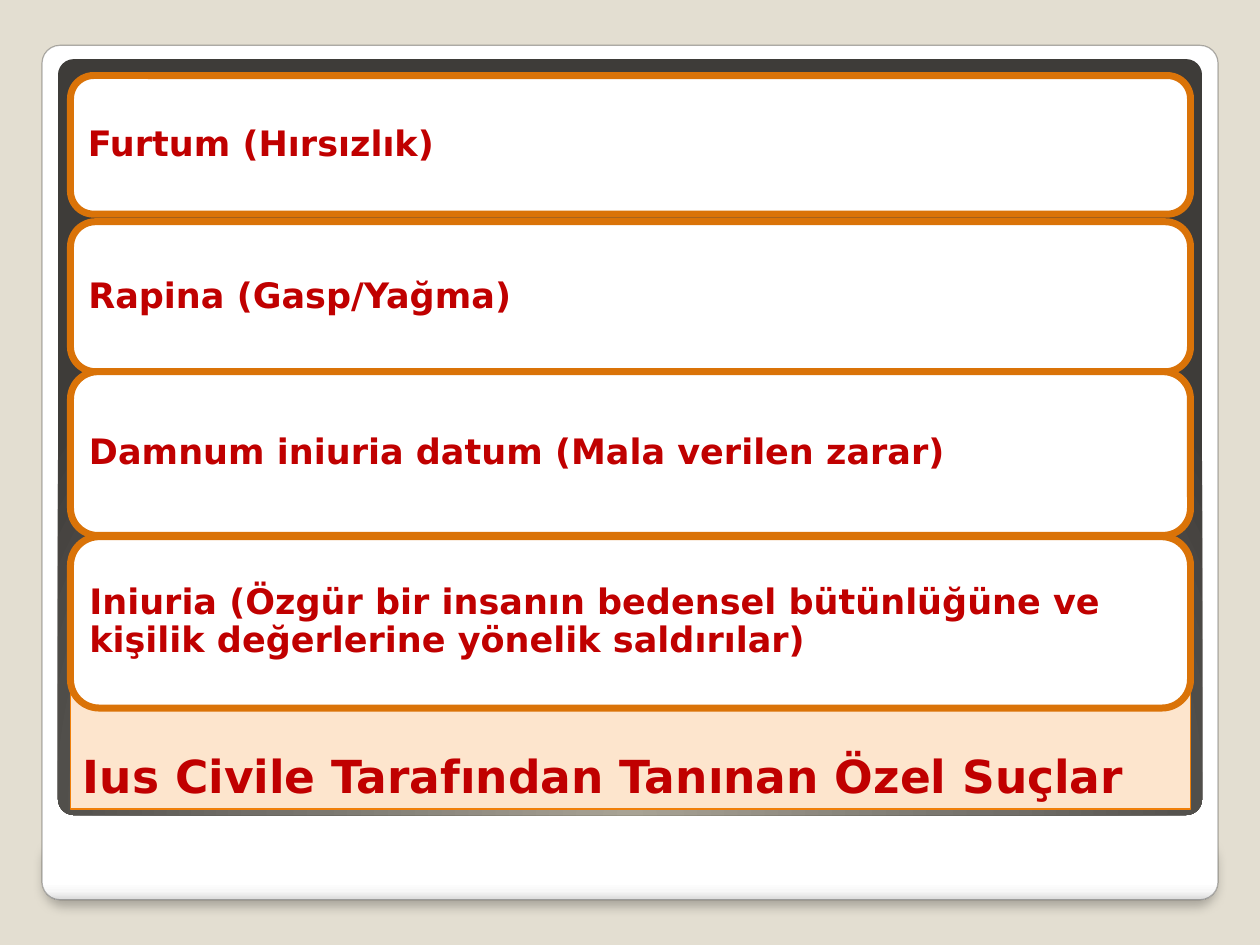
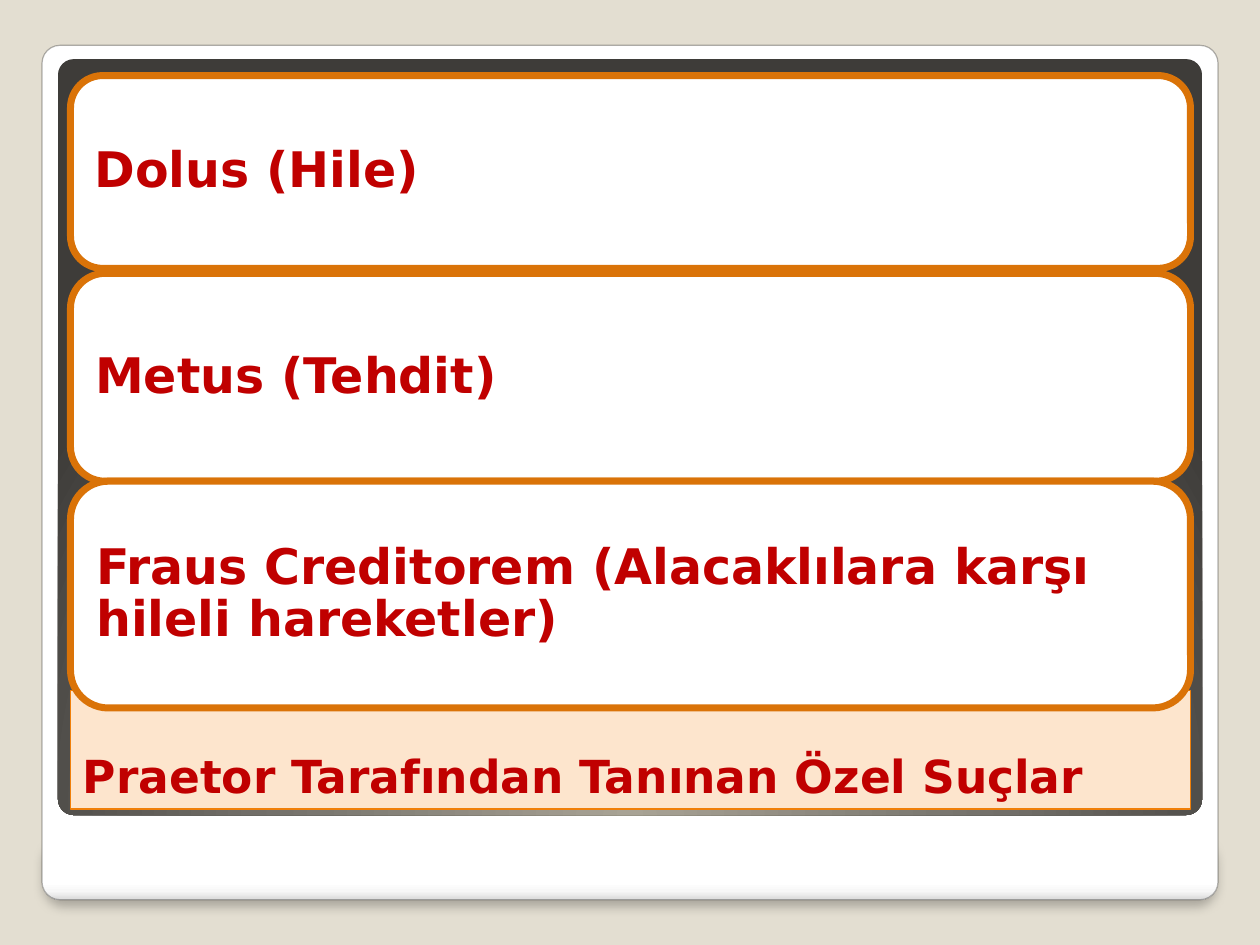
"""Build two slides listing the private delicts of Roman law."""
from pptx import Presentation
from pptx.dml.color import RGBColor
from pptx.enum.shapes import MSO_SHAPE
from pptx.enum.text import MSO_ANCHOR, PP_ALIGN
from pptx.oxml import parse_xml
from pptx.oxml.ns import nsdecls, qn
from pptx.util import Pt

FONT = "DejaVu Sans"
RED = "C00000"
LEFT, WIDTH = 40.3, 640

WHITE_STOPS = [(0, "FFFFFF"), (98, "FFFFFF"), (99, "F7F7F7"), (100, "DADADA")]
DARK_STOPS = [(0, "A8A395"), (55, "716E68"), (100, "3E3C39")]
DOWNWARD = '<a:lin ang="5400000" scaled="0"/>'
FROM_BELOW = ('<a:path path="circle"><a:fillToRect l="100000" t="350000" '
              'r="100000" b="100000"/></a:path>')

PANELS = [
    ((25.2, 477.4, 669.6, 36), 0.333, WHITE_STOPS, DOWNWARD, True, True),
    ((24, 25.9, 672, 488.2), 0.021, WHITE_STOPS, DOWNWARD, True, False),
    ((33.1, 33.8, 653.8, 432), 0.021, DARK_STOPS, FROM_BELOW, False, False),
]

SLIDES = [
    ("Ius Civile Tarafından Tanınan Özel Suçlar", 20, [
        ("Furtum (Hırsızlık)", 43.2, 79.2),
        ("Rapina (Gasp/Yağma)", 126.7, 85.7),
        ("Damnum iniuria datum (Mala verilen zarar)", 212.4, 93.6),
        ("Iniuria (Özgür bir insanın bedensel bütünlüğüne ve "
         "kişilik değerlerine yönelik saldırılar)", 306.7, 97.9),
    ]),
    ("Praetor Tarafından Tanınan Özel Suçlar", 28, [
        ("Dolus (Hile)", 43.2, 110.2),
        ("Metus (Tehdit)", 156.2, 118.8),
        ("Fraus Creditorem (Alacaklılara karşı hileli hareketler)", 275, 129.6),
    ]),
]


def color(value):
    return RGBColor.from_string(value)


def add_box(s, kind, at, fill, line, width, text, size, spacing):
    sp = s.shapes.add_shape(kind, *map(Pt, at))
    sp.shadow.inherit = False
    sp.fill.solid()
    sp.fill.fore_color.rgb = color(fill)
    sp.line.color.rgb = color(line)
    sp.line.width = Pt(width)
    tf = sp.text_frame
    tf.word_wrap = True
    p = tf.paragraphs[0]
    p.text = text
    p.alignment = PP_ALIGN.LEFT
    p.line_spacing = spacing
    p.font.name = FONT
    p.font.size = Pt(size)
    p.font.bold = True
    p.font.color.rgb = color(RED)
    return tf


prs = Presentation()
prs.slide_width, prs.slide_height = Pt(720), Pt(540)
background = prs.slide_master.background.fill
background.solid()
background.fore_color.rgb = color("E3DED1")

for title, size, delicts in SLIDES:
    s = prs.slides.add_slide(prs.slide_layouts[6])

    for at, corner, stops, direction, outlined, shadowed in PANELS:
        sp = s.shapes.add_shape(MSO_SHAPE.ROUNDED_RECTANGLE, *map(Pt, at))
        sp.adjustments[0] = corner
        sp.shadow.inherit = False
        spPr = sp._element.spPr
        gs = "".join(f'<a:gs pos="{pos * 1000}"><a:srgbClr val="{value}"/></a:gs>'
                     for pos, value in stops)
        spPr.find(qn("a:prstGeom")).addnext(parse_xml(
            f'<a:gradFill {nsdecls("a")} rotWithShape="1">'
            f'<a:gsLst>{gs}</a:gsLst>{direction}</a:gradFill>'))
        if outlined:
            sp.line.color.rgb = color("302F2C")
            sp.line.width = Pt(0.67)
            spPr.find(qn("a:ln")).find(".//" + qn("a:srgbClr")).append(
                parse_xml(f'<a:alpha {nsdecls("a")} val="37000"/>'))
        else:
            sp.line.fill.background()
        if shadowed:
            spPr.find(qn("a:effectLst")).append(parse_xml(
                f'<a:outerShdw {nsdecls("a")} blurRad="{Pt(6)}" dist="{Pt(4)}" '
                'dir="5400000" algn="t" rotWithShape="0">'
                '<a:srgbClr val="000000"><a:alpha val="25000"/></a:srgbClr>'
                '</a:outerShdw>'))

    tf = add_box(s, MSO_SHAPE.RECTANGLE, (LEFT, 394.6, WIDTH, 67.7),
                 "FDE5CD", "F07F09", 0.75, title, 26, 1.1)
    tf.vertical_anchor = MSO_ANCHOR.BOTTOM

    for i, (text, top, height) in enumerate(delicts):
        tf = add_box(s, MSO_SHAPE.ROUNDED_RECTANGLE, (LEFT, top, WIDTH, height),
                     "FFFFFF", "DA7308", 4, text, size, 0.9)
        tf.vertical_anchor = MSO_ANCHOR.MIDDLE
        tf.margin_left = tf.margin_right = Pt(size * 0.3)
        tf.margin_top = tf.margin_bottom = Pt(size * 0.3)
        p = tf.paragraphs[0]
        p.space_after = Pt(size * 0.35)
        if i == 0:
            p.alignment = PP_ALIGN.JUSTIFY

prs.save("out.pptx")
